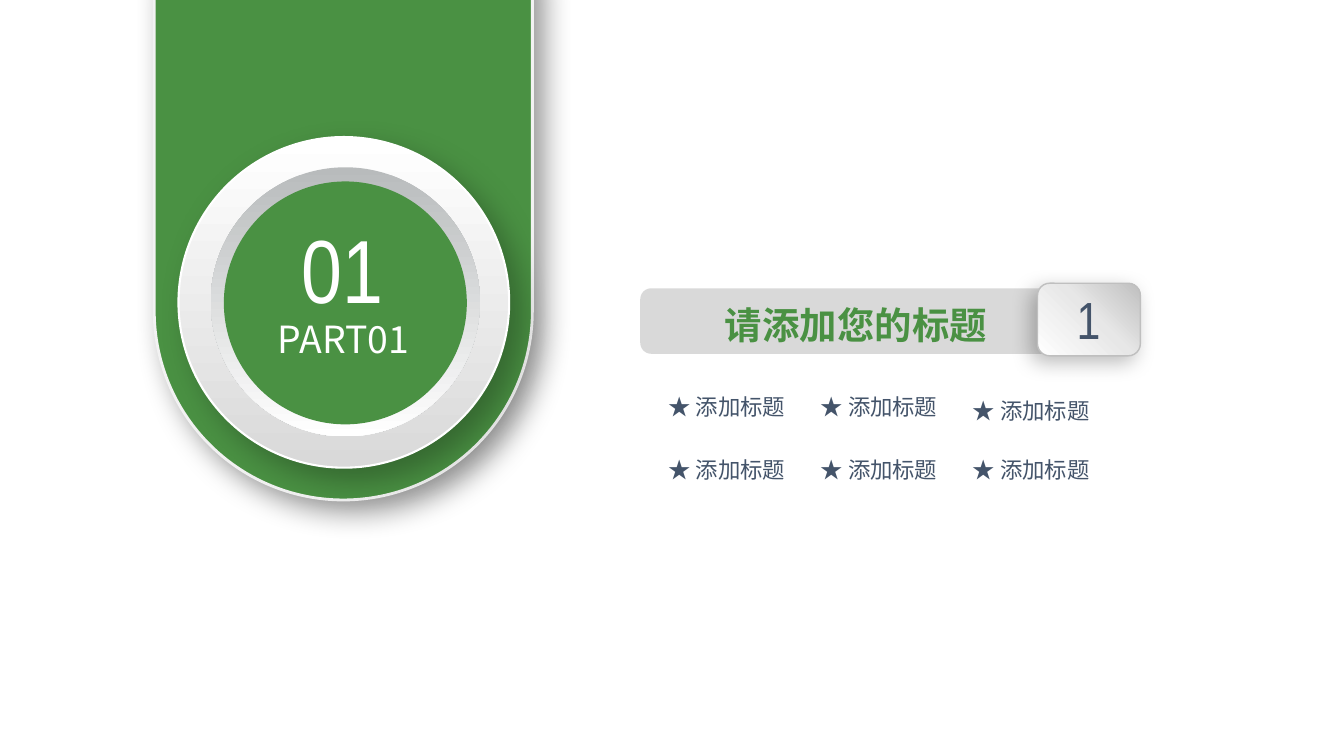
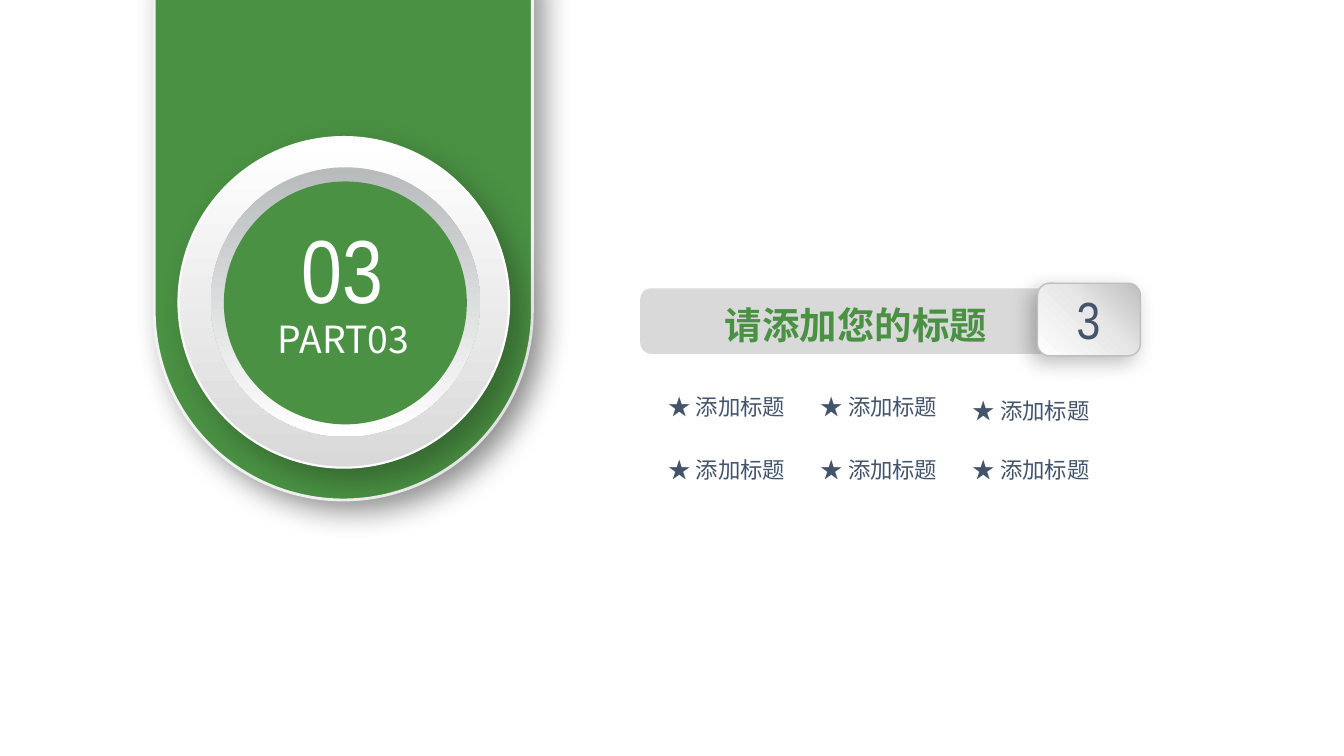
from pptx import Presentation
from pptx.dml.color import RGBColor
from pptx.enum.shapes import MSO_SHAPE as Shape
from pptx.enum.text import MSO_ANCHOR as Anchor, PP_ALIGN as Align
from pptx.oxml import parse_xml
from pptx.oxml.ns import nsdecls, qn
from pptx.util import Inches, Pt

GREEN, SLATE, WHITE = "4A9143", "44546A", "FFFFFF"
BAR_GREY, EDGE_GREY, PALE = "D9D9D9", "BFBFBF", "F2F2F2"
CJK, NARROW = "Noto Sans CJK SC", "Arial Narrow"


def color(value):
    return RGBColor.from_string(value)


def inches(*lengths):
    return [Inches(length) for length in lengths]


def set_gradient(shape, stops, angle):
    marks = "".join(
        f'<a:gs pos="{position * 1000}"><a:srgbClr val="{value}"/></a:gs>'
        for position, value in stops
    )
    gradient = parse_xml(
        f'<a:gradFill {nsdecls("a")} rotWithShape="1"><a:gsLst>{marks}</a:gsLst>'
        f'<a:lin ang="{angle * 60000}" scaled="0"/></a:gradFill>'
    )
    shape._element.spPr.find(qn("a:prstGeom")).addnext(gradient)


def set_shadow(shape, opacity, blur, distance, angle):
    effects = shape._element.spPr.find(qn("a:effectLst"))
    effects.append(parse_xml(
        f'<a:outerShdw {nsdecls("a")} blurRad="{Pt(blur)}" dist="{Pt(distance)}" '
        f'dir="{angle * 60000}" algn="ctr" rotWithShape="0"><a:srgbClr val="000000">'
        f'<a:alpha val="{opacity * 1000}"/></a:srgbClr></a:outerShdw>'
    ))


def add_panel(page, kind, box, fill=None, gradient=None, line=None, shadow=None):
    shape = page.shapes.add_shape(kind, *inches(*box))
    shape.shadow.inherit = False
    if gradient:
        set_gradient(shape, *gradient)
    else:
        shape.fill.solid()
        shape.fill.fore_color.rgb = color(fill)
    if line:
        shape.line.color.rgb = color(line[0])
        shape.line.width = Pt(line[1])
    else:
        shape.line.fill.background()
    if shadow:
        set_shadow(shape, *shadow)
    return shape


def add_label(page, box, text, size, font, ink, align=Align.CENTER,
              bold=False, insets=(0.1, 0.05)):
    frame = page.shapes.add_textbox(*inches(*box)).text_frame
    frame.word_wrap = True
    frame.vertical_anchor = Anchor.MIDDLE
    frame.margin_left = frame.margin_right = Inches(insets[0])
    frame.margin_top = frame.margin_bottom = Inches(insets[1])
    para = frame.paragraphs[0]
    para.alignment = align
    span = para.add_run()
    span.text = text
    span.font.size = Pt(size)
    span.font.bold = bold
    span.font.color.rgb = color(ink)
    span.font.name = font
    span.font._element.append(
        parse_xml(f'<a:ea {nsdecls("a")} typeface="{font}"/>')
    )


def add_heading(page, left, top, title, number):
    add_panel(page, Shape.ROUNDED_RECTANGLE, (left, top, 4.95, 0.65), BAR_GREY)
    add_label(page, (left + 0.71, top + 0.03, 4, 0.65), title, 26.7, CJK, GREEN,
              Align.LEFT, True, (0.13, 0.07))
    add_panel(page, Shape.ROUNDED_RECTANGLE, (left + 3.94, top - 0.05, 1.02, 0.72),
              gradient=([(0, WHITE), (55, "E7E7E7"), (100, EDGE_GREY)], 315),
              line=(EDGE_GREY, 1), shadow=(25, 15, 6, 135))
    add_label(page, (left + 4.2, top - 0.03, 0.49, 0.67), str(number), 37.3,
              NARROW, SLATE, insets=(0, 0))


def add_topics(page, left, top, rows):
    for row, topics in enumerate(rows):
        for column, (topic, drop) in enumerate(topics):
            box = (left + 1.51 * column, top + 0.63 * row + drop, 1.5, 0.36)
            add_label(page, box, f"★ {topic}", 16, CJK, SLATE, Align.LEFT,
                      insets=(0.09, 0.04))


def add_part_tab(page, left, top, number):
    pill = add_panel(page, Shape.ROUNDED_RECTANGLE, (left, top, 3.75, 6.88), GREEN,
                     line=(PALE, 2), shadow=(40, 20, 10, 45))
    pill.adjustments[0] = 0.5
    add_panel(page, Shape.OVAL, (left + 0.24, top + 3.28, 3.28, 3.28),
              gradient=([(0, WHITE), (100, BAR_GREY)], 90),
              line=(WHITE, 1.5), shadow=(28, 22, 12, 45))
    add_panel(page, Shape.OVAL, (left + 0.56, top + 3.58, 2.67, 2.67),
              gradient=([(0, "B8BBBC"), (100, WHITE)], 90))
    add_panel(page, Shape.OVAL, (left + 0.69, top + 3.72, 2.41, 2.41), GREEN)
    add_label(page, (left + 0.75, top + 5, 2.26, 0.55), f"PART{number:02}", 26.7,
              CJK, WHITE)
    add_label(page, (left + 0.24, top + 3.99, 3.26, 1.18), f"{number:02}", 64,
              NARROW, WHITE)


def add_section(deck, number):
    page = deck.slides.add_slide(deck.slide_layouts[6])
    add_heading(page, 6.35, 2.86, "请添加您的标题", number)
    topic = "添加标题"
    add_topics(page, 6.54, 3.85, [
        [(topic, 0), (topic, 0), (topic, 0.04)],
        [(topic, 0)] * 3,
    ])
    add_part_tab(page, 1.53, -1.92, number)


def main():
    deck = Presentation()
    deck.slide_width, deck.slide_height = inches(13.33, 7.5)
    for number in (1, 3):
        add_section(deck, number)
    deck.save("out.pptx")


if __name__ == "__main__":
    main()
